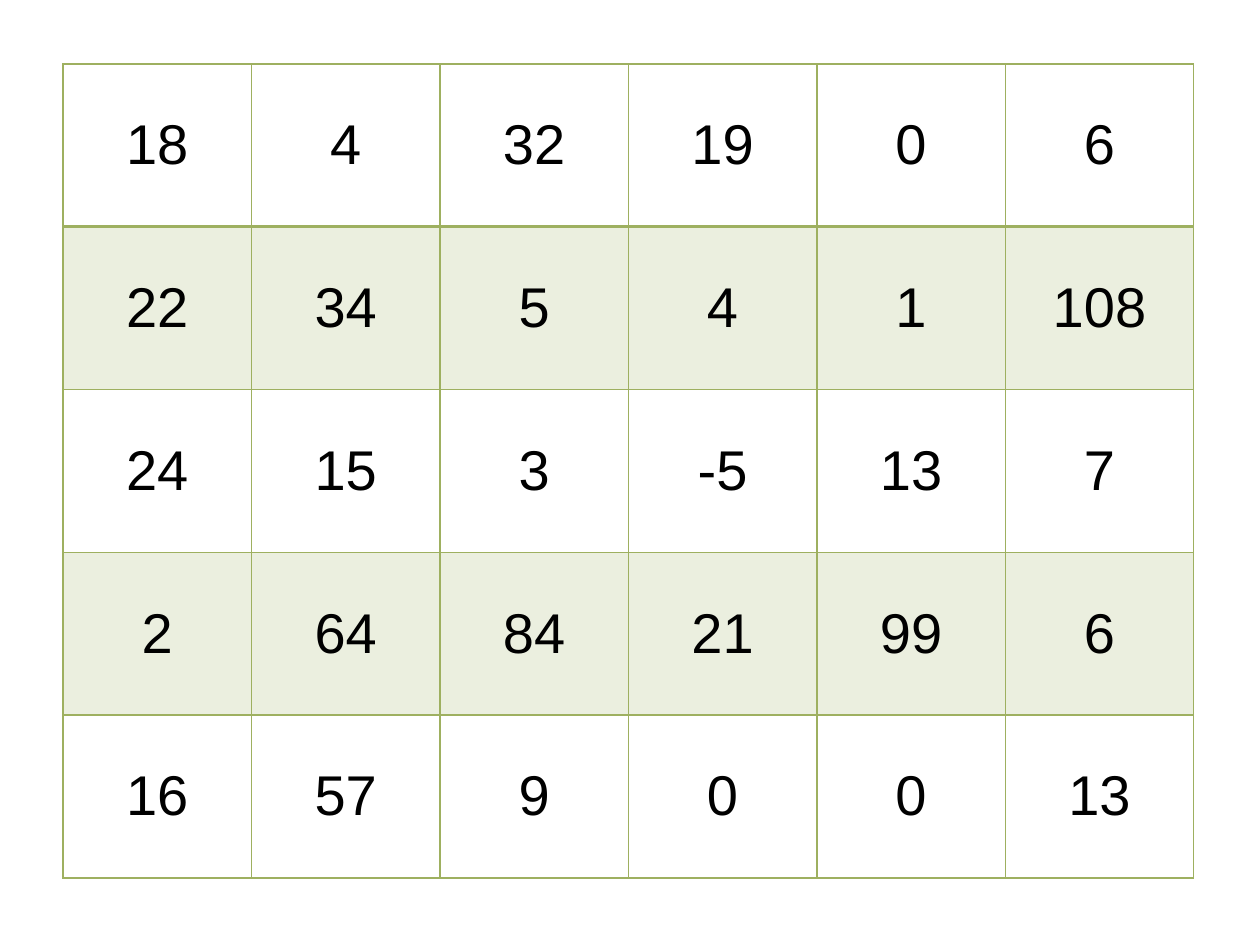
"""Build a slide with a banded grid of numbers."""
from lxml.etree import SubElement
from pptx import Presentation
from pptx.dml.color import RGBColor
from pptx.enum.text import MSO_ANCHOR, PP_ALIGN
from pptx.oxml.ns import qn
from pptx.util import Emu, Pt

NUMBERS = [
    [18, 4, 32, 19, 0, 6],
    [22, 34, 5, 4, 1, 108],
    [24, 15, 3, -5, 13, 7],
    [2, 64, 84, 21, 99, 6],
    [16, 57, 9, 0, 0, 13],
]
COLORS = {"green": "9EB060", "text": "000000"}
BAND_ALPHA = 20
SLIDE = (1260, 945)
TABLE = (63, 64, 1131, 814)


def px(n):
    return Emu(round(n * 914400 / 126))


def add_solid(parent, color):
    fill = SubElement(parent, qn("a:solidFill"))
    return SubElement(fill, qn("a:srgbClr"), val=color)


def set_borders(cell, widths):
    tc_pr = cell._tc.get_or_add_tcPr()
    for side, width in widths.items():
        ln = SubElement(tc_pr, qn(f"a:ln{side}"), w=str(Pt(width)))
        add_solid(ln, COLORS["green"])


def set_fill(cell, banded):
    if banded:
        clr = add_solid(cell._tc.get_or_add_tcPr(), COLORS["green"])
        SubElement(clr, qn("a:alpha"), val=str(BAND_ALPHA * 1000))
    else:
        cell.fill.background()


def add_number(cell, number):
    cell.vertical_anchor = MSO_ANCHOR.MIDDLE
    p = cell.text_frame.paragraphs[0]
    p.alignment = PP_ALIGN.CENTER
    r = p.add_run()
    r.text = str(number)
    r.font.size = Pt(32)
    r.font.name = "Arial"
    r.font.color.rgb = RGBColor.from_string(COLORS["text"])


def main():
    prs = Presentation()
    prs.slide_width, prs.slide_height = map(px, SLIDE)
    s = prs.slides.add_slide(prs.slide_layouts[6])
    frame = s.shapes.add_table(len(NUMBERS), len(NUMBERS[0]), *map(px, TABLE))
    table = frame.table
    table.first_row = table.horz_banding = False
    for i, row in enumerate(NUMBERS):
        widths = {"L": 1, "R": 1, "T": 2 if i == 1 else 1, "B": 2 if i == 0 else 1}
        for j, number in enumerate(row):
            cell = table.cell(i, j)
            add_number(cell, number)
            set_borders(cell, widths)
            set_fill(cell, i % 2 == 1)
    prs.save("out.pptx")


if __name__ == "__main__":
    main()
